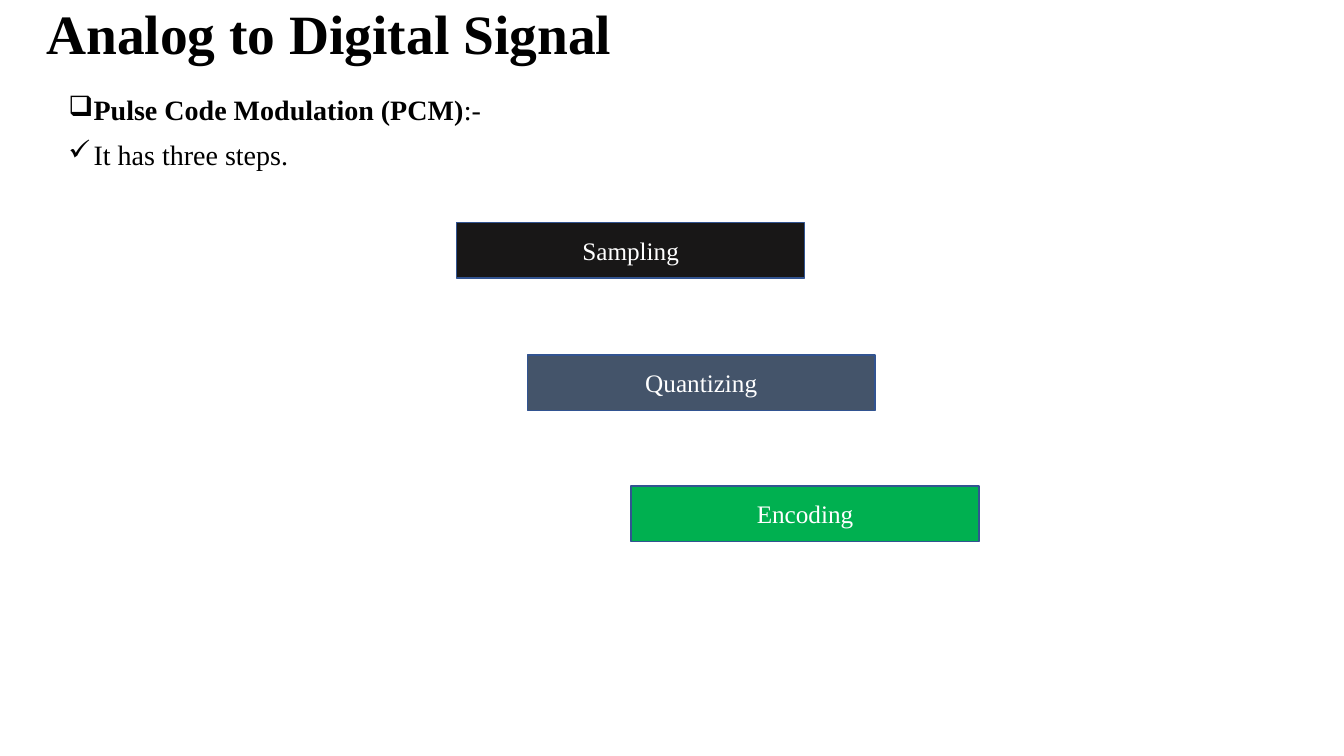
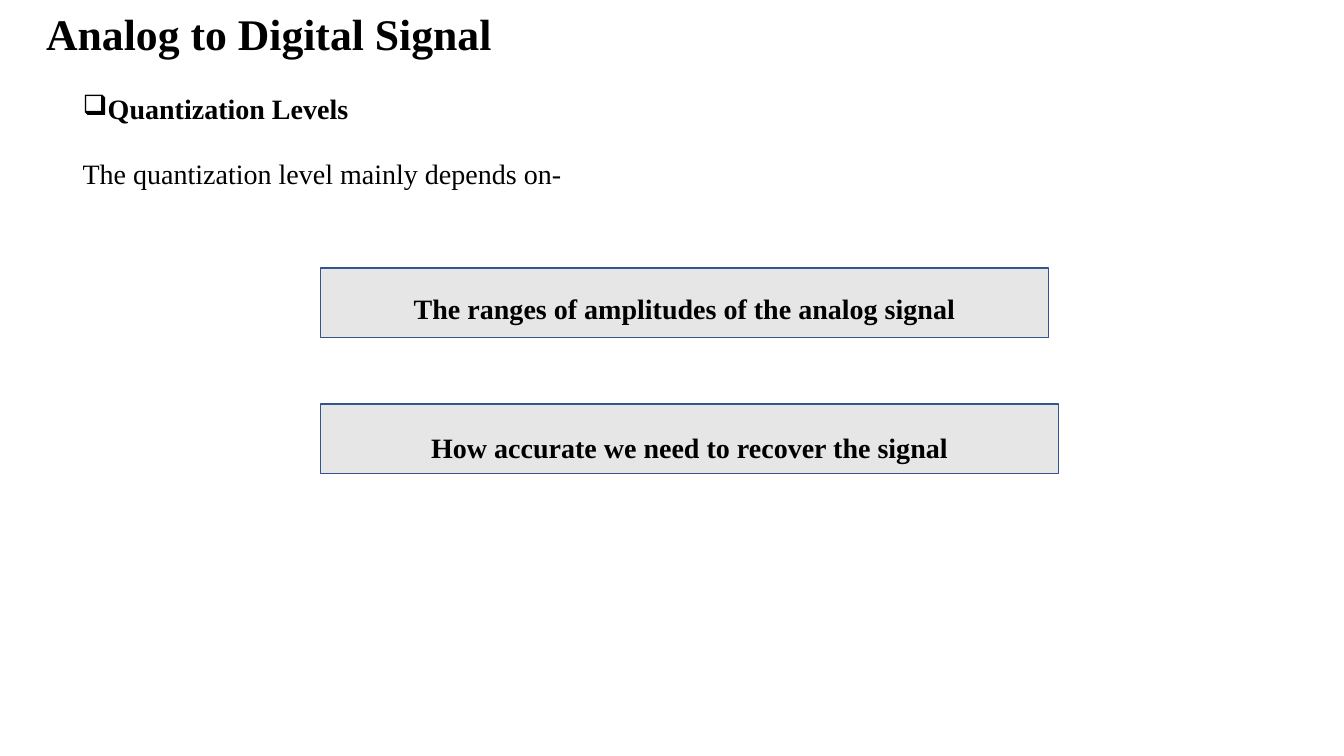
import pptx
import pptx.util
import pptx.dml.color
import pptx.enum.shapes
import pptx.enum.text
import pptx.oxml.ns
import lxml.etree

# Shared style: 100 px to the inch
PX = 9144
FONT = "Times New Roman"
RGB = pptx.dml.color.RGBColor
BLACK = RGB(0x00, 0x00, 0x00)
WHITE = RGB(0xFF, 0xFF, 0xFF)
EDGE = RGB(0x32, 0x54, 0x91)
COAL = RGB(0x18, 0x17, 0x17)
SLATE = RGB(0x44, 0x54, 0x6A)
GREEN = RGB(0x00, 0xB0, 0x50)
GREY = RGB(0xE7, 0xE6, 0xE6)
TITLE = "Analog to Digital Signal"
INDENT = 25
MIDDLE = pptx.enum.text.MSO_ANCHOR.MIDDLE
CENTER = pptx.enum.text.PP_ALIGN.CENTER
RECT = pptx.enum.shapes.MSO_SHAPE.RECTANGLE

# Each body line: bullet, bold text, plain text, line spacing
# Each box: left, top, width, height, fill, text, line spacing, top inset
SLIDES = [
    {
        "size": 39.6,
        "body": (58, 91, 1275, 659),
        "lines": [
            ("❑", "Pulse Code Modulation (PCM)", ":-", 0.9),
            ("✓", "", "It has three steps.", 0.9),
        ],
        "font": (18, WHITE, False),
        "boxes": [
            (453, 221, 345, 55, COAL, "Sampling", 1, 5),
            (523, 352, 345, 55, SLATE, "Quantizing", 1, 5),
            (626, 482, 345, 55, GREEN, "Encoding", 1, 5),
        ],
    },
    {
        "size": 31.2,
        "body": (72, 90, 1251, 660),
        "lines": [
            ("❑", "Quantization Levels", "", 0.9),
            ("", "", "The quantization level mainly depends on-", 1.5),
        ],
        "font": (20, BLACK, True),
        "boxes": [
            (318, 266, 722, 69, GREY,
             "The ranges of amplitudes of the analog signal", 1, 15),
            (318, 401, 732, 69, GREY,
             "How accurate we need to recover the signal", 1.5, 5),
        ],
    },
]


def style(run, size, color, bold):
    run.font.name = FONT
    run.font.size = pptx.util.Pt(size)
    run.font.color.rgb = color
    run.font.bold = bold


def add_bullet(para, char):
    props = para._p.get_or_add_pPr()
    props.set("marL", str(INDENT * PX))
    props.set("indent", str(-INDENT * PX))
    mark = lxml.etree.SubElement(props, pptx.oxml.ns.qn("a:buChar"))
    mark.set("char", char)


deck = pptx.Presentation()
deck.slide_width = 1333 * PX
deck.slide_height = 750 * PX

for page in SLIDES:
    slide = deck.slides.add_slide(deck.slide_layouts[6])

    # Title
    box = slide.shapes.add_textbox(36 * PX, 0, 1297 * PX, 73 * PX)
    frame = box.text_frame
    frame.word_wrap = True
    frame.vertical_anchor = MIDDLE
    frame.text = TITLE
    frame.paragraphs[0].line_spacing = 0.9
    style(frame.paragraphs[0].runs[0], page["size"], BLACK, True)

    # Body lines
    box = slide.shapes.add_textbox(*[n * PX for n in page["body"]])
    frame = box.text_frame
    frame.word_wrap = True
    for i, (char, strong, plain, space) in enumerate(page["lines"]):
        para = frame.add_paragraph() if i else frame.paragraphs[0]
        para.line_spacing = space
        para.space_before = pptx.util.Pt(10)
        if char:
            add_bullet(para, char)
        for text, bold in ((strong, True), (plain, False)):
            if text:
                run = para.add_run()
                run.text = text
                style(run, 20, BLACK, bold)

    # Boxes
    for left, top, width, height, fill, text, space, inset in page["boxes"]:
        box = slide.shapes.add_shape(
            RECT, left * PX, top * PX, width * PX, height * PX)
        box.shadow.inherit = False
        box.fill.solid()
        box.fill.fore_color.rgb = fill
        box.line.color.rgb = EDGE
        box.line.width = pptx.util.Pt(1)
        frame = box.text_frame
        frame.vertical_anchor = MIDDLE
        frame.margin_top = inset * PX
        frame.text = text
        para = frame.paragraphs[0]
        para.alignment = CENTER
        para.line_spacing = space
        style(para.runs[0], *page["font"])

deck.save("out.pptx")
